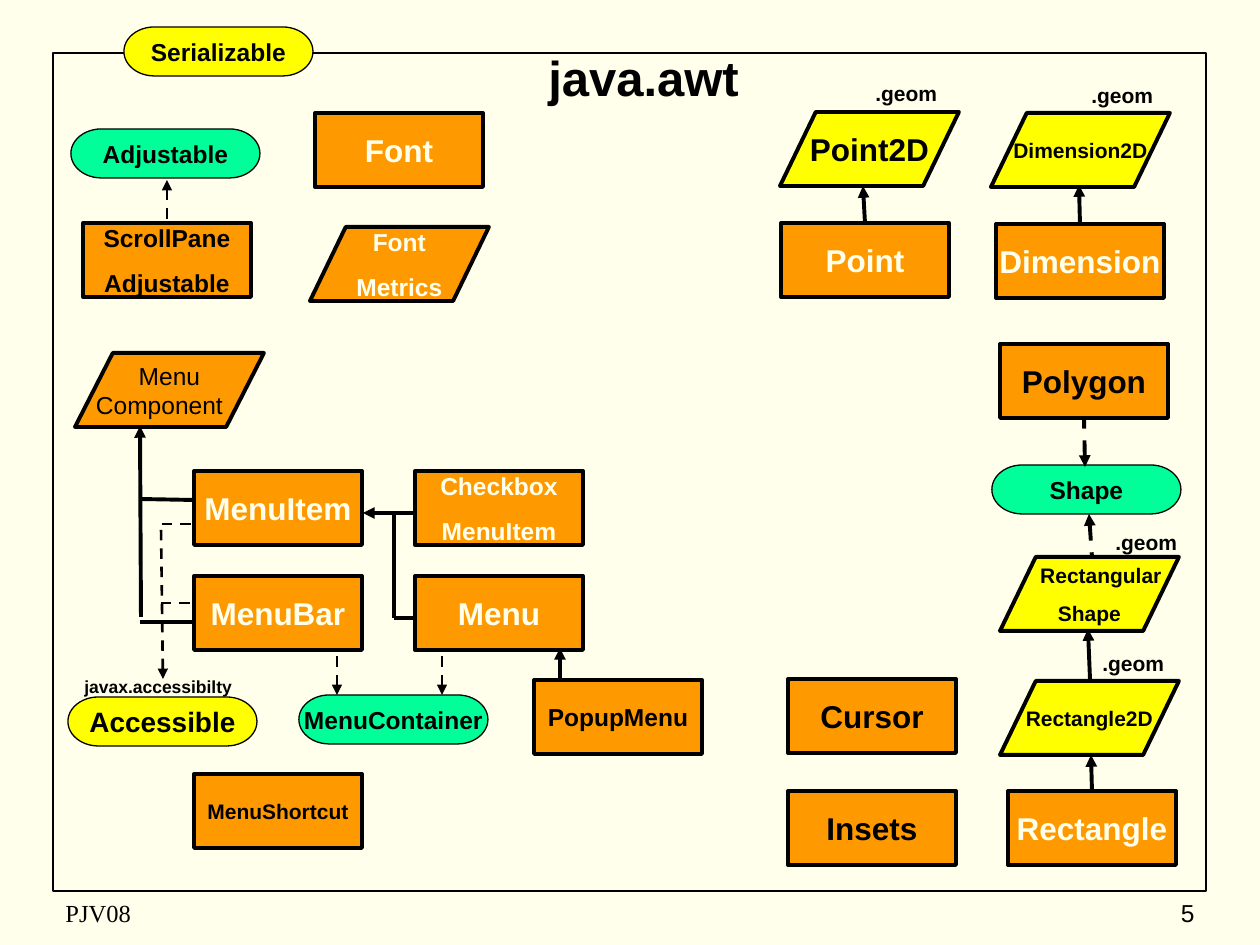
from lxml import etree
from pptx import Presentation
from pptx import util as u
from pptx.dml.color import RGBColor
from pptx.enum import dml, shapes, text
from pptx.oxml.ns import qn

PX = u.Inches(1) / 126
COLORS = {
    "cream": "FFFFEB",
    "black": "000000",
    "orange": "FF9900",
    "yellow": "FFFF00",
    "green": "00FF99",
}
SHAPE = shapes.MSO_SHAPE
CENTER, LEFT, RIGHT = text.PP_ALIGN.CENTER, text.PP_ALIGN.LEFT, text.PP_ALIGN.RIGHT

# Class boxes: text, left, top, size, text colour
CLASSES = [
    ("Font", 315, 113, 18, "cream"),
    ("ScrollPane\nAdjustable", 83, 223, 14, "black"),
    ("Point", 781, 223, 18, "cream"),
    ("Dimension", 996, 224, 18, "cream"),
    ("Polygon", 1000, 344, 18, "black"),
    ("MenuItem", 194, 471, 18, "cream"),
    ("Checkbox\nMenuItem", 415, 471, 14, "cream"),
    ("MenuBar", 194, 576, 18, "cream"),
    ("Menu", 415, 576, 18, "cream"),
    ("PopupMenu", 534, 680, 14, "black"),
    ("Cursor", 788, 679, 18, "black"),
    ("MenuShortcut", 194, 774, 12, "black"),
    ("Insets", 788, 791, 18, "black"),
    ("Rectangle", 1008, 791, 18, "cream"),
]

# Abstract classes: text, left, top, size, fill, text colour
ABSTRACT_CLASSES = [
    ("Font\nMetrics", 310, 227, 14, "orange", "cream"),
    ("Point2D", 780, 112, 18, "yellow", "black"),
    ("Dimension2D", 991, 113, 12, "yellow", "black"),
    ("Rectangular\nShape", 1000, 557, 12, "yellow", "black"),
    ("Rectangle2D", 1000, 681, 12, "yellow", "black"),
]

# Interfaces: text, left, top, size, fill
INTERFACES = [
    ("Serializable", 124, 27, 14, "yellow"),
    ("Adjustable", 71, 129, 14, "green"),
    ("Shape", 992, 465, 14, "green"),
    ("MenuContainer", 299, 695, 14, "green"),
    ("Accessible", 68, 697, 16, "yellow"),
]

# Package labels: text, left, top, width, height, size
PACKAGES = [
    (".geom", 863, 74, 116, 38, 12),
    (".geom", 1079, 76, 116, 38, 12),
    (".geom", 1103, 523, 101, 38, 12),
    (".geom", 1090, 644, 116, 38, 12),
    ("javax.accessibilty", 72, 670, 185, 34, 10),
]

# Arrows that start at the top of a class box: class, tip, width, dashed
ARROWS_FROM_TOP = [
    ("Point", (863, 186), 2.25, False),
    ("Dimension", (1079, 185), 2.25, False),
    ("Rectangle", (1091, 755), 2.25, False),
    ("ScrollPane\nAdjustable", (167, 180), 1.5, True),
]

# Other lines: tip, tail, width, dashed, arrowhead at tip
LINES = [
    ((1089, 514), (1092, 557), 2.25, True, True),
    ((1088, 629), (1090, 679), 2.25, False, True),
    ((560, 648), (560, 680), 2.25, False, True),
    ((363, 513), (415, 513), 2.25, False, True),
    ((394, 513), (394, 618), 2.25, False, False),
    ((394, 618), (415, 618), 2.25, False, False),
    ((140, 426), (141, 617), 2.25, False, True),
    ((140, 499), (194, 500), 2.25, False, False),
    ((140, 622), (194, 622), 2.25, False, False),
    ((337, 695), (337, 649), 1.5, True, True),
    ((442, 695), (442, 649), 1.5, True, True),
    ((163, 679), (161, 524), 1.5, True, True),
    ((162, 524), (194, 524), 1.5, True, False),
    ((161, 603), (193, 603), 1.5, True, False),
]


def px(*values):
    return [u.Emu(round(v * PX)) for v in values]


def rgb(name):
    return RGBColor.from_string(COLORS[name])


def write(sp, wording, size, color="black", bold=True, align=CENTER,
          font="Arial", gap=0, wrap=False):
    tf = sp.text_frame
    tf.text = wording
    tf.word_wrap = wrap
    tf.auto_size = text.MSO_AUTO_SIZE.NONE
    for i, p in enumerate(tf.paragraphs):
        p.alignment = align
        p.space_before = u.Pt(gap if i else 0)
        for r in p.runs:
            r.font.name = font
            r.font.size = u.Pt(size)
            r.font.bold = bold
            r.font.color.rgb = rgb(color)


def add_node(s, kind, box, fill, line_width):
    sp = s.shapes.add_shape(kind, *px(*box))
    sp.shadow.inherit = False
    if fill:
        sp.fill.solid()
        sp.fill.fore_color.rgb = rgb(fill)
    else:
        sp.fill.background()
    sp.line.color.rgb = rgb("black")
    sp.line.width = u.Pt(line_width)
    sp.text_frame.vertical_anchor = text.MSO_ANCHOR.MIDDLE
    return sp


def add_class(s, wording, left, top, size, color):
    sp = add_node(s, SHAPE.RECTANGLE, (left, top, 168, 74), "orange", 2.25)
    write(sp, wording, size, color, gap=8.8)
    return sp


def add_abstract(s, wording, left, top, size, fill, color, width=179, bold=True, gap=None):
    sp = add_node(s, SHAPE.FLOWCHART_DATA, (left, top, width, 74), fill, 2.25)
    write(sp, wording, size, color, bold, gap=size * 0.625 if gap is None else gap)
    return sp


def add_interface(s, wording, left, top, size, fill):
    sp = add_node(s, SHAPE.FLOWCHART_TERMINATOR, (left, top, 189, 49), fill, 0.75)
    write(sp, wording, size)


def add_label(s, wording, box, size, anchor=text.MSO_ANCHOR.TOP, **style):
    sp = s.shapes.add_textbox(*px(*box))
    sp.text_frame.vertical_anchor = anchor
    write(sp, wording, size, wrap=True, **style)


def add_line(s, tip, tail, width, dashed=False, arrow=True):
    cx = s.shapes.add_connector(shapes.MSO_CONNECTOR.STRAIGHT, *px(*tip, *tail))
    cx.line.color.rgb = rgb("black")
    cx.line.width = u.Pt(width)
    if dashed:
        cx.line.dash_style = dml.MSO_LINE.DASH
    if arrow:
        etree.SubElement(cx.line._get_or_add_ln(), qn("a:headEnd"), type="triangle")
    etree.SubElement(cx._element.spPr, qn("a:effectLst"))
    return cx


def indent(p, side, amount):
    p._p.get_or_add_pPr().set(side, str(px(amount)[0]))


def main():
    prs = Presentation()
    prs.slide_width, prs.slide_height = px(1260, 945)
    s = prs.slides.add_slide(prs.slide_layouts[5])
    s.background.fill.solid()
    s.background.fill.fore_color.rgb = rgb("cream")

    # Frame, footer and title
    add_node(s, SHAPE.RECTANGLE, (53, 53, 1153, 838), None, 1)
    middle = text.MSO_ANCHOR.MIDDLE
    add_label(s, "PJV08", (53, 892, 398, 42), 14, middle, bold=False,
              align=LEFT, font="Times New Roman")
    add_label(s, "5", (945, 892, 262, 42), 14, middle, bold=False, align=RIGHT)
    title = s.shapes.title
    title.left, title.top, title.width, title.height = px(486, 40, 315, 73)
    title.text_frame.vertical_anchor = middle
    write(title, "java.awt", 28, wrap=True)

    # Classes and interfaces
    classes = {row[0]: add_class(s, *row) for row in CLASSES}
    abstract = {row[0]: add_abstract(s, *row) for row in ABSTRACT_CLASSES}
    indent(abstract["Rectangular\nShape"].text_frame.paragraphs[0], "marL", 23)
    component = add_abstract(s, "Menu\nComponent", 75, 353, 14, "orange", "black",
                             width=189, bold=False, gap=0)
    indent(component.text_frame.paragraphs[1], "marR", 20)
    for row in INTERFACES:
        add_interface(s, *row)
    for wording, *box, size in PACKAGES:
        add_label(s, wording, box, size, align=LEFT)

    # Inheritance and implementation lines
    for name, tip, width, dashed in ARROWS_FROM_TOP:
        add_line(s, tip, tip, width, dashed).end_connect(classes[name], 0)
    polygon_line = add_line(s, (1085, 467), (1085, 418), 2.25, True)
    polygon_line.end_connect(classes["Polygon"], 2)
    for row in LINES:
        add_line(s, *row)

    prs.save("out.pptx")


if __name__ == "__main__":
    main()
